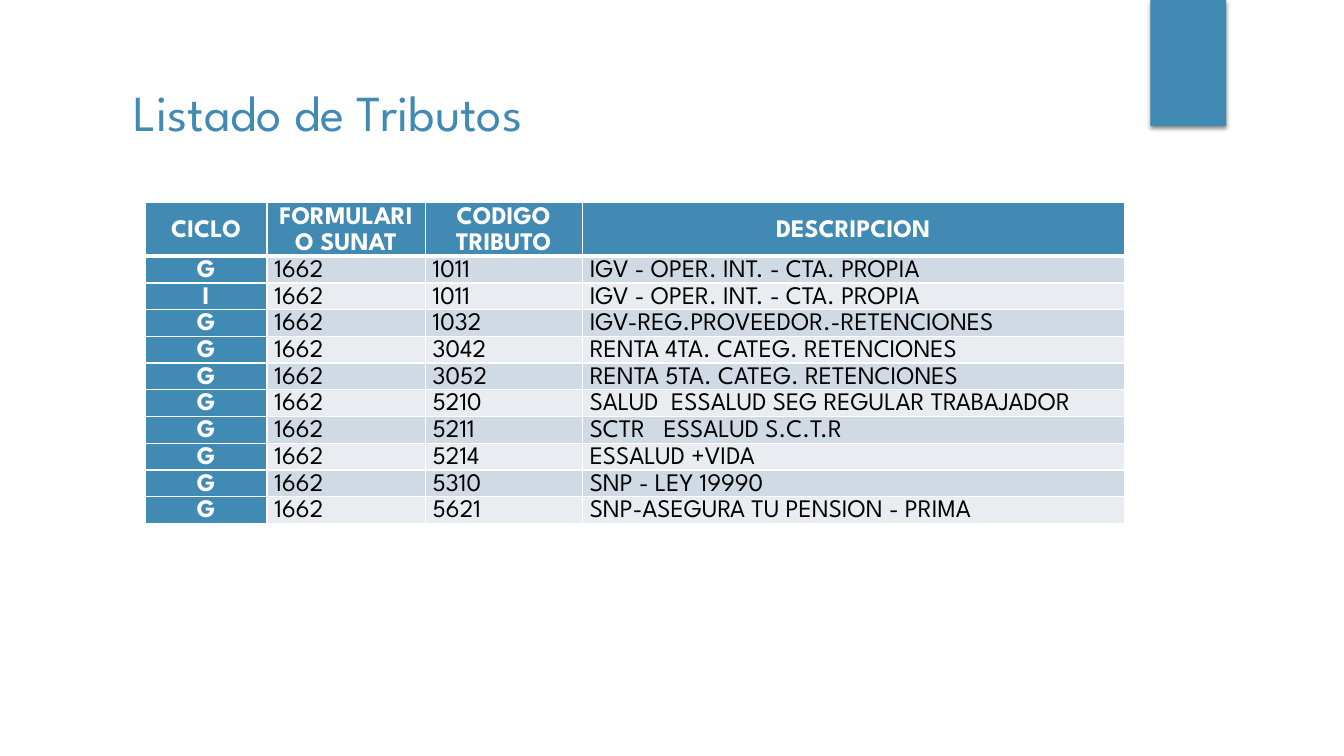
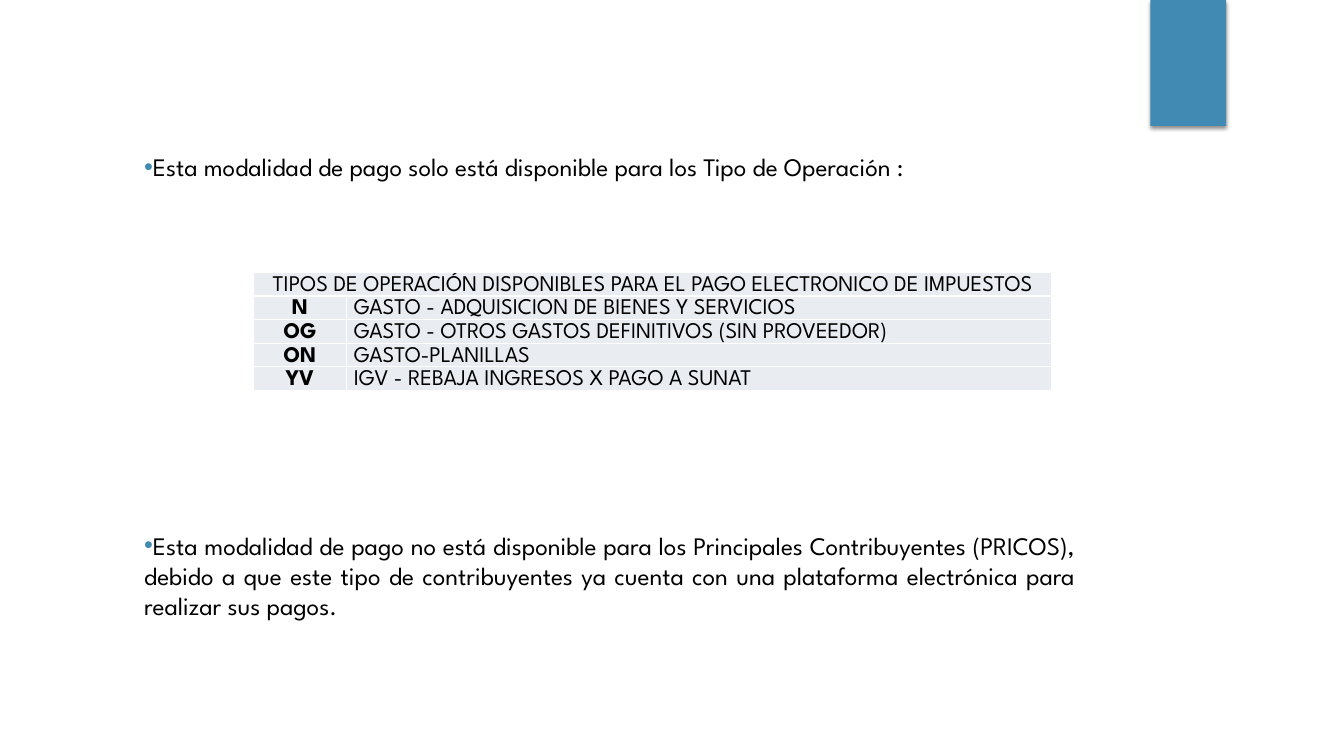
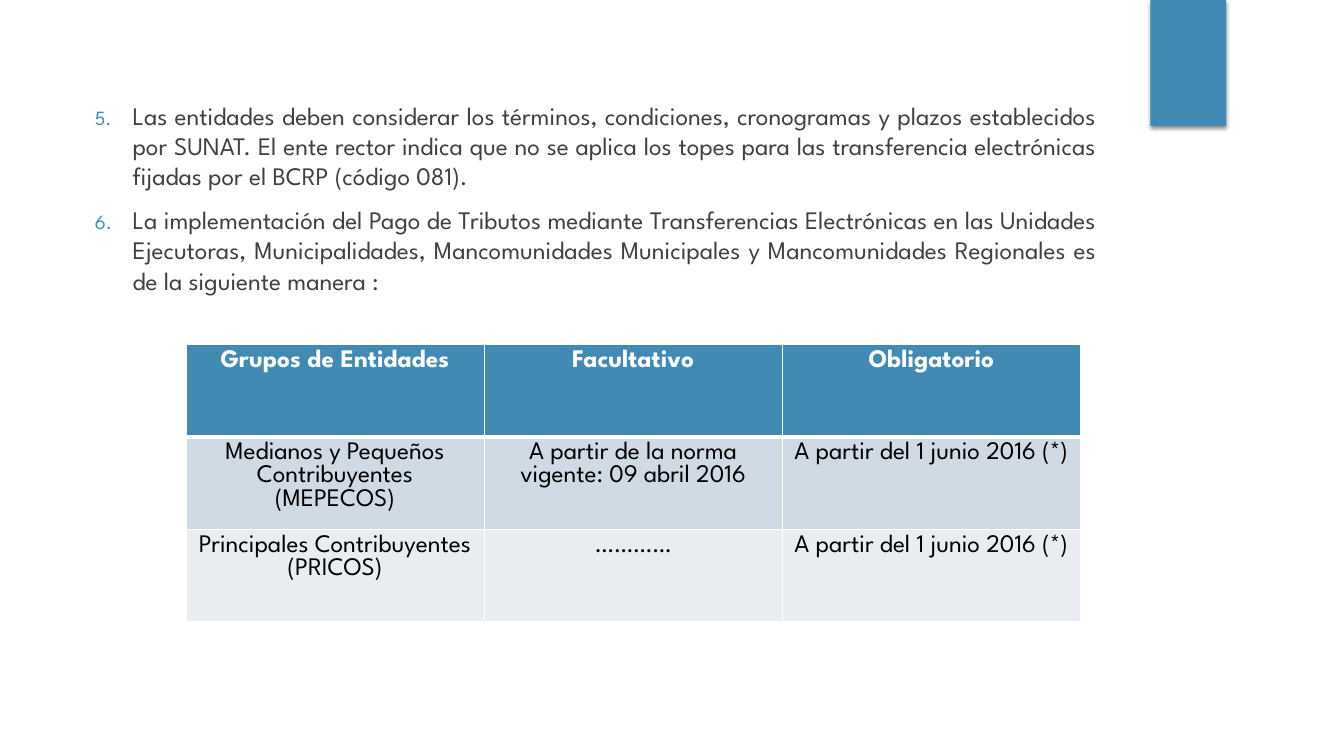
from lxml import etree
from pptx import Presentation
from pptx import util as u
from pptx.dml import color as dml
from pptx.enum import shapes, text
from pptx.oxml import ns

FONT = "League Spartan"
BLUE, BLACK, WHITE, GRAY = "418AB3", "000000", "FFFFFF", "404040"
BAND_DARK, BAND_LIGHT = "CFDAE5", "E9EDF2"
LEFT, CENTER, JUSTIFY = text.PP_ALIGN.LEFT, text.PP_ALIGN.CENTER, text.PP_ALIGN.JUSTIFY
HEADER = {"fill": BLUE, "color": WHITE, "bold": True, "align": CENTER}


def rgb(value):
    """Turn a hex string into a colour."""
    return dml.RGBColor.from_string(value)


def add_xml(parent, tag, **attributes):
    """Append a drawing element with its attributes."""
    return etree.SubElement(parent, ns.qn(tag), {key: str(value) for key, value in attributes.items()})


def write(paragraph, content, size=18, color=BLACK, bold=False, align=LEFT, spacing=1.0, before=0):
    """Write formatted text into a paragraph."""
    paragraph.alignment = align
    paragraph.line_spacing = spacing
    paragraph.space_before = u.Pt(before)
    run = paragraph.add_run()
    run.text = content
    run.font.name, run.font.size, run.font.bold = FONT, u.Pt(size), bold
    run.font.color.rgb = rgb(color)


def add_bullet(paragraph, tag, indent=0, scale=100, **attributes):
    """Give a paragraph a blue bullet or number."""
    properties = paragraph._p.get_or_add_pPr()
    properties.set("marL", str(u.Pt(indent)))
    properties.set("indent", str(u.Pt(-indent)))
    add_xml(add_xml(properties, "a:buClr"), "a:srgbClr", val=BLUE)
    add_xml(properties, "a:buSzPct", val=scale * 1000)
    add_xml(properties, "a:buFont", typeface=FONT if tag == "a:buAutoNum" else "Arial")
    add_xml(properties, tag, **attributes)


def place(placeholder, box, anchor):
    """Move a placeholder to its box and return its text frame."""
    placeholder.left, placeholder.top, placeholder.width, placeholder.height = map(u.Pt, box)
    frame = placeholder.text_frame
    frame.word_wrap = True
    frame.auto_size = text.MSO_AUTO_SIZE.NONE
    frame.vertical_anchor = anchor
    return frame


def add_band(presentation, slide):
    """Put the shadowed corner band on the master."""
    band = slide.shapes.add_shape(shapes.MSO_SHAPE.RECTANGLE, *map(u.Pt, (821.8, 0, 54, 90)))
    band.fill.solid()
    band.fill.fore_color.rgb = rgb(BLUE)
    band.line.fill.background()
    effects = add_xml(band.element.spPr, "a:effectLst")
    shadow = add_xml(effects, "a:outerShdw", blurRad=u.Pt(3), dist=u.Pt(2), dir=5400000, rotWithShape=0)
    add_xml(add_xml(shadow, "a:srgbClr", val=BLACK), "a:alpha", val=45000)
    presentation.slide_master.shapes.element.append(band.element)


def add_borders(cell, top=1, bottom=1):
    """Draw white borders around a cell."""
    properties = cell._tc.get_or_add_tcPr()
    for index, (side, width) in enumerate((("L", 1), ("R", 1), ("T", top), ("B", bottom))):
        line = add_xml(properties, f"a:ln{side}", w=u.Pt(width))
        add_xml(add_xml(line, "a:solidFill"), "a:srgbClr", val=WHITE)
        properties.insert(index, line)


def add_grid(slide, origin, widths, height, rows, style, header=True, size=18, spacing=1.0,
             margins=(5.4, 0), anchor=text.MSO_ANCHOR.TOP):
    """Add a table whose cells take the format given by style(row, column)."""
    frame = slide.shapes.add_table(len(rows), len(widths), *map(u.Pt, (*origin, sum(widths), height * len(rows))))
    table = frame.table
    table.first_row = table.horz_banding = False
    for column, width in zip(table.columns, widths):
        column.width = u.Pt(width)
    for row_index, contents in enumerate(rows):
        table.rows[row_index].height = u.Pt(height)
        is_header = header and row_index == 0
        for column_index, content in enumerate(contents):
            cell = table.cell(row_index, column_index)
            look = dict(HEADER if is_header else style(row_index, column_index))
            cell.fill.solid()
            cell.fill.fore_color.rgb = rgb(look.pop("fill"))
            cell.margin_left = cell.margin_right = u.Pt(margins[0])
            cell.margin_top = cell.margin_bottom = u.Pt(margins[1])
            cell.vertical_anchor = text.MSO_ANCHOR.MIDDLE if is_header and margins[1] == 0 else anchor
            write(cell.text_frame.paragraphs[0], content, size=size, spacing=spacing, **look)
            add_borders(cell, top=3 if header and row_index == 1 else 1, bottom=3 if is_header else 1)
    return table


def band_fill(row):
    """Alternate the fill of body rows."""
    return BAND_DARK if row % 2 else BAND_LIGHT


def tax_style(row, column):
    """Format a cell of the tax list."""
    return HEADER if column == 0 else {"fill": band_fill(row)}


def operation_style(row, column):
    """Format a cell of the operation types."""
    return {"fill": BAND_LIGHT, "bold": row > 0 and column == 0, "align": LEFT if column else CENTER}


def entity_style(row, column):
    """Format a cell of the entity groups."""
    return {"fill": band_fill(row), "align": CENTER}


def build_taxes(slide):
    """Build the list of taxes."""
    frame = place(slide.shapes.title, (56.8, 54, 364, 51), text.MSO_ANCHOR.MIDDLE)
    write(frame.paragraphs[0], "Listado de Tributos ", size=36, color=BLUE, align=CENTER)
    taxes = [
        ("G", "1011", "IGV - OPER. INT. - CTA. PROPIA"),
        ("I", "1011", "IGV - OPER. INT. - CTA. PROPIA"),
        ("G", "1032", "IGV-REG.PROVEEDOR.-RETENCIONES"),
        ("G", "3042", "RENTA 4TA. CATEG. RETENCIONES"),
        ("G", "3052", "RENTA 5TA. CATEG. RETENCIONES"),
        ("G", "5210", "SALUD  ESSALUD SEG REGULAR TRABAJADOR"),
        ("G", "5211", "SCTR   ESSALUD S.C.T.R"),
        ("G", "5214", "ESSALUD +VIDA"),
        ("G", "5310", "SNP - LEY 19990"),
        ("G", "5621", "SNP-ASEGURA TU PENSION - PRIMA"),
    ]
    rows = [("CICLO", "FORMULARIO SUNAT", "CODIGO TRIBUTO", "DESCRIPCION")]
    rows += [(cycle, "1662", code, description) for cycle, code, description in taxes]
    add_grid(slide, (103.7, 144.9), (87, 113, 112.2, 387.2), 15, rows, tax_style, spacing=1.15)


def build_operations(slide):
    """Build the operation types between two notes."""
    notes = [
        (104.4, 29, "Esta modalidad de pago solo está disponible para los Tipo de Operación :"),
        (374.4, 73, "Esta modalidad de pago no está disponible para los Principales Contribuyentes (PRICOS), "
                    "debido a que este tipo de contribuyentes ya cuenta con una plataforma electrónica para "
                    "realizar sus pagos."),
    ]
    for index, (top, height, note) in enumerate(notes, start=1):
        frame = place(slide.placeholders[index], (95.8, top, 679.7, height), text.MSO_ANCHOR.MIDDLE)
        write(frame.paragraphs[0], note, align=JUSTIFY)
        add_bullet(frame.paragraphs[0], "a:buChar", char="•")
    rows = [
        ("TIPOS DE OPERACIÓN DISPONIBLES PARA EL PAGO ELECTRONICO DE IMPUESTOS",),
        ("N", "GASTO - ADQUISICION DE BIENES Y SERVICIOS"),
        ("OG", "GASTO - OTROS GASTOS DEFINITIVOS (SIN PROVEEDOR)"),
        ("ON", "GASTO-PLANILLAS"),
        ("YV", "IGV - REBAJA INGRESOS X PAGO A SUNAT"),
    ]
    table = add_grid(slide, (181.2, 194.6), (66.2, 504), 15, rows, operation_style, header=False,
                     size=16, spacing=1.15, anchor=text.MSO_ANCHOR.MIDDLE)
    table.cell(0, 0).merge(table.cell(0, 1))


def build_entities(slide):
    """Build the numbered conditions and the entity groups."""
    conditions = [
        "Las entidades deben considerar los términos, condiciones, cronogramas y plazos establecidos por SUNAT. "
        "El ente rector indica que no se aplica los topes para las transferencia electrónicas fijadas por el "
        "BCRP (código 081).",
        "La implementación del Pago de Tributos mediante Transferencias Electrónicas en las Unidades Ejecutoras, "
        "Municipalidades, Mancomunidades Municipales y Mancomunidades Regionales es de la siguiente manera :",
    ]
    frame = place(slide.placeholders[1], (60.5, 67.7, 730, 145.4), text.MSO_ANCHOR.TOP)
    for index, condition in enumerate(conditions):
        paragraph = frame.add_paragraph() if index else frame.paragraphs[0]
        write(paragraph, condition, color=GRAY, align=JUSTIFY, before=10)
        add_bullet(paragraph, "a:buAutoNum", indent=27, scale=80, type="arabicPeriod", startAt=5)
    rows = [
        ("Grupos de Entidades", "Facultativo", "Obligatorio"),
        ("Medianos y Pequeños Contribuyentes (MEPECOS)", "A partir de la norma vigente: 09 abril 2016",
         "A partir del 1 junio 2016 (*)"),
        ("Principales Contribuyentes (PRICOS)", "…………", "A partir del 1 junio 2016 (*)"),
    ]
    add_grid(slide, (132.8, 246.2), (213,) * 3, 66, rows, entity_style, margins=(7.2, 3.6))


def main():
    """Build and save the presentation."""
    presentation = Presentation()
    presentation.slide_width, presentation.slide_height = u.Pt(960), u.Pt(540)
    builders = ((5, build_taxes), (3, build_operations), (1, build_entities))
    for index, (layout, build) in enumerate(builders):
        slide = presentation.slides.add_slide(presentation.slide_layouts[layout])
        if index == 0:
            add_band(presentation, slide)
        build(slide)
        title = slide.shapes.title
        if not title.text_frame.text:
            title.element.getparent().remove(title.element)
    presentation.save("out.pptx")


if __name__ == "__main__":
    main()
